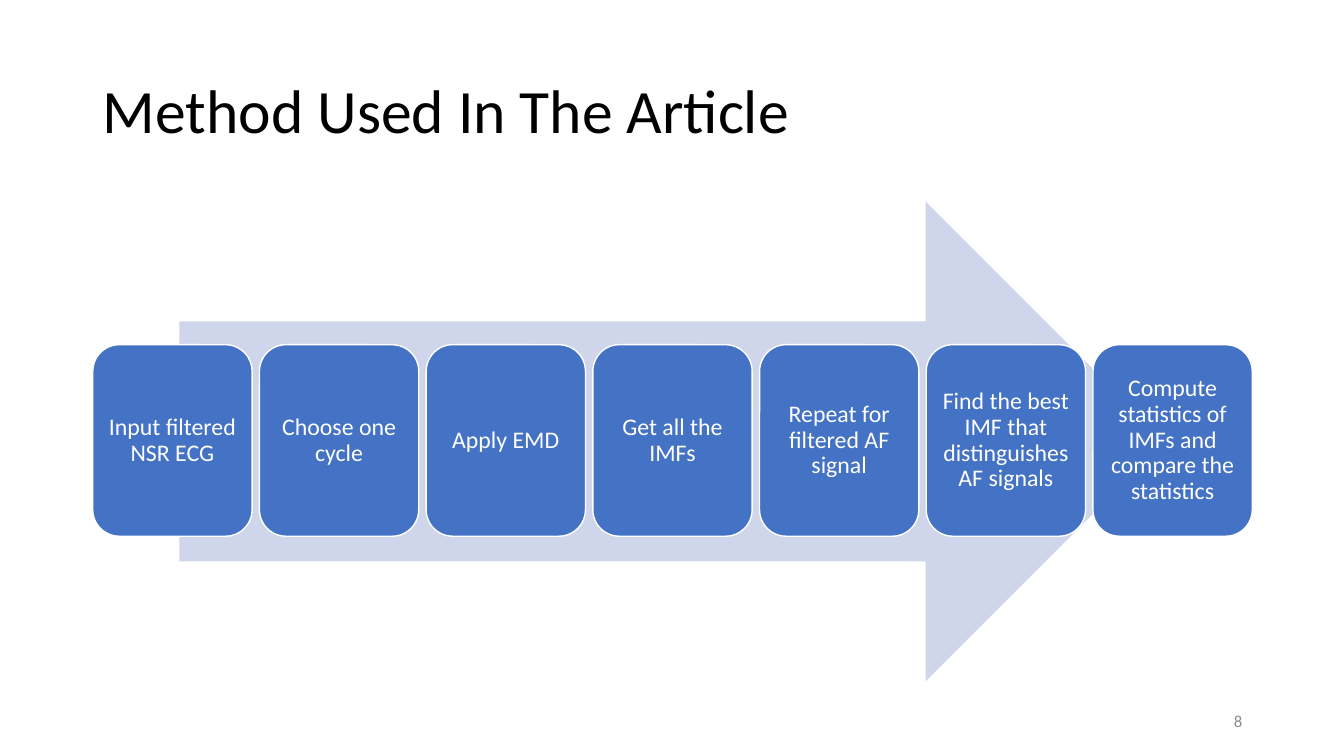
import pptx
import pptx.dml.color
import pptx.enum.shapes
import pptx.enum.text
import pptx.util

Inches = pptx.util.Inches
Pt = pptx.util.Pt
Align = pptx.enum.text.PP_ALIGN
Preset = pptx.enum.shapes.MSO_SHAPE

STEPS = [
    "Input filtered NSR ECG",
    "Choose one cycle",
    "Apply EMD",
    "Get all the IMFs",
    "Repeat for filtered AF signal",
    "Find the best IMF that distinguishes AF signals",
    "Compute statistics of IMFs and compare the statistics",
]


def color(value):
    return pptx.dml.color.RGBColor.from_string(value)


class ProcessSlide:
    """Draws the elements of a process slide in one style."""

    font = "Calibri"
    blue = "4472C4"
    pale_blue = "CFD5EA"
    white = "FFFFFF"

    def __init__(self, presentation):
        self.slide = presentation.slides.add_slide(presentation.slide_layouts[5])

    def add_text(self, shape, text, size, ink, align, spacing=1.0, inset=None):
        frame = shape.text_frame
        frame.word_wrap = True
        frame.auto_size = pptx.enum.text.MSO_AUTO_SIZE.NONE
        frame.vertical_anchor = pptx.enum.text.MSO_ANCHOR.MIDDLE
        if inset is not None:
            frame.margin_left = frame.margin_right = Inches(inset)
            frame.margin_top = frame.margin_bottom = Inches(inset)
        paragraph = frame.paragraphs[0]
        paragraph.alignment = align
        paragraph.line_spacing = spacing
        run = paragraph.add_run()
        run.text = text
        run.font.name = self.font
        run.font.size = Pt(size)
        run.font.color.rgb = color(ink)

    def title(self, text, left, top, width, height):
        shape = self.slide.shapes.title
        shape.left, shape.top = Inches(left), Inches(top)
        shape.width, shape.height = Inches(width), Inches(height)
        self.add_text(shape, text, 44, "000000", Align.LEFT, 0.9)

    def preset(self, kind, fill, left, top, width, height):
        shape = self.slide.shapes.add_shape(
            kind, Inches(left), Inches(top), Inches(width), Inches(height))
        shape.shadow.inherit = False
        shape.fill.solid()
        shape.fill.fore_color.rgb = color(fill)
        shape.line.fill.background()
        return shape

    def arrow(self, left, top, width, height):
        self.preset(Preset.RIGHT_ARROW, self.pale_blue, left, top, width, height)

    def step(self, text, left, top, width, height):
        shape = self.preset(
            Preset.ROUNDED_RECTANGLE, self.blue, left, top, width, height)
        shape.line.color.rgb = color(self.white)
        shape.line.width = Pt(1)
        self.add_text(shape, text, 17, self.white, Align.CENTER, 0.9, 0.07)

    def page_number(self, text, left, top, width, height):
        shape = self.slide.shapes.add_textbox(
            Inches(left), Inches(top), Inches(width), Inches(height))
        self.add_text(shape, text, 12, "8C8C8C", Align.RIGHT)


def main():
    presentation = pptx.Presentation()
    presentation.slide_width = Inches(13.33)
    presentation.slide_height = Inches(7.5)
    page = ProcessSlide(presentation)
    page.title("Method Used In The Article", 0.92, 0.4, 11.5, 1.45)
    page.arrow(1.78, 2, 9.78, 4.76)
    first_left, last_left = 0.92, 10.84
    pitch = (last_left - first_left) / (len(STEPS) - 1)
    for index, text in enumerate(STEPS):
        page.step(text, first_left + index * pitch, 3.42, 1.58, 1.9)
    page.page_number("8", 9.42, 6.95, 3, 0.4)
    presentation.save("out.pptx")


if __name__ == "__main__":
    main()
